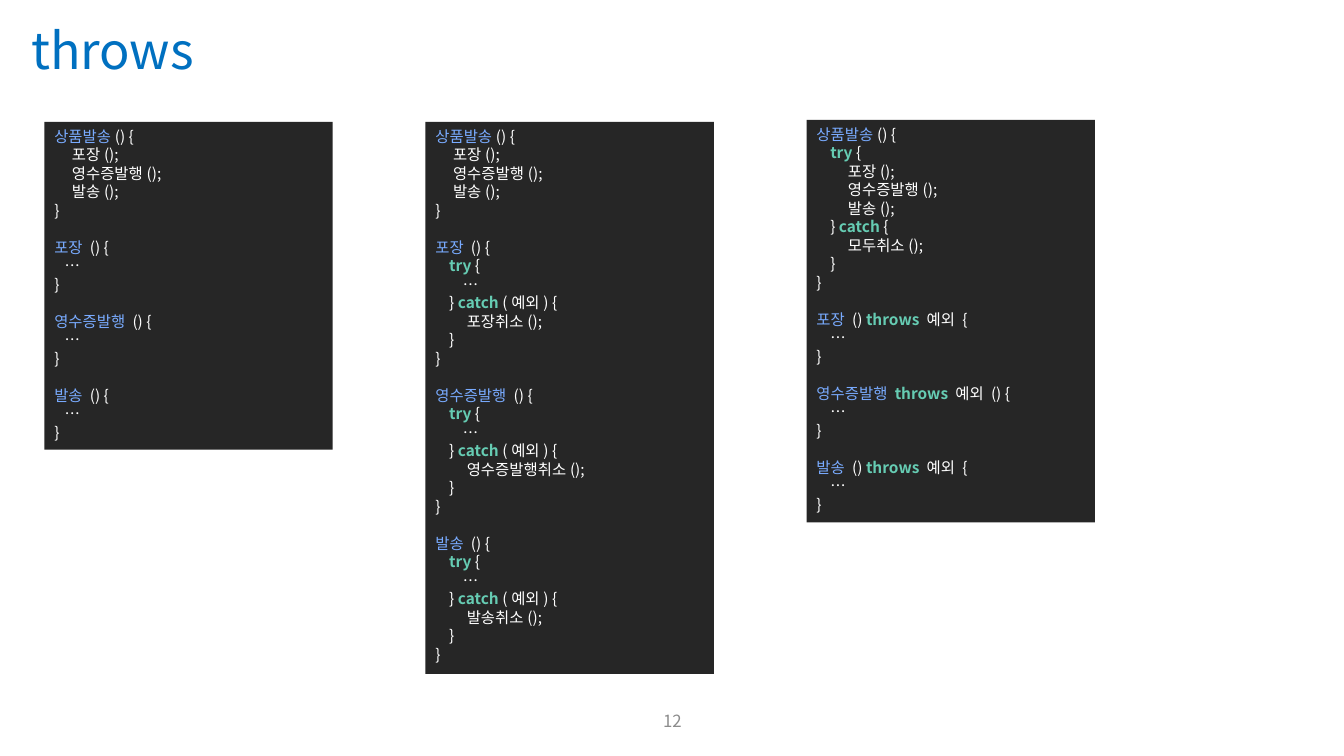
"""Build the slide that compares three ways of handling exceptions."""
from dataclasses import dataclass

from lxml import etree
from pptx import Presentation
from pptx.dml.color import RGBColor
from pptx.enum.shapes import MSO_SHAPE
from pptx.enum.text import MSO_ANCHOR, PP_ALIGN
from pptx.oxml.ns import qn
from pptx.slide import Slide
from pptx.text.text import _Paragraph as Paragraph
from pptx.util import Inches, Pt

RECTANGLE = MSO_SHAPE.RECTANGLE
TOP, MIDDLE = MSO_ANCHOR.TOP, MSO_ANCHOR.MIDDLE
LEFT, CENTER = PP_ALIGN.LEFT, PP_ALIGN.CENTER

FONT = "Noto Sans CJK KR"
TITLE_BLUE = RGBColor(0x00, 0x70, 0xC0)
NUMBER_GRAY = RGBColor(0x8C, 0x8C, 0x8C)
PANEL_DARK = RGBColor(0x26, 0x26, 0x26)
NAME_BLUE = RGBColor(0x79, 0xAB, 0xFF)
KEYWORD_GREEN = RGBColor(0x66, 0xCC, 0xB3)
CODE_WHITE = RGBColor(0xFF, 0xFF, 0xFF)

KEYWORDS = ("try", "catch", "throws")
STEPS = ("포장", "영수증발행", "발송")

SLIDE_WIDTH, SLIDE_HEIGHT = 13.33, 7.5
FIRST_COLUMN, COLUMN_PITCH, PANEL_WIDTH = 0.44, 3.78, 2.86
PANEL_PADDING = 0.1
ROW_HEIGHT = 13.35 / 72
CODE_SIZE, LINE_SPACING = 11, 13.2
SPACE_WIDTH, HANGUL_GAP = 2.46, 2.75


@dataclass(frozen=True)
class Label:
    """A line of text in its own box, placed in inches."""

    text: str
    left: float
    top: float
    width: float
    height: float
    size: float
    color: RGBColor
    alignment: PP_ALIGN
    anchor: MSO_ANCHOR


@dataclass(frozen=True)
class Panel:
    """A dark code panel in one column of the grid."""

    column: int
    top: float
    blocks: tuple[str, ...]


CALLS = "상품발송() {\n" + "".join(f"    {step}();\n" for step in STEPS) + "}"
GUARDED_CALLS = (
    "상품발송() {\n    try {\n"
    + "".join(f"        {step}();\n" for step in STEPS)
    + "    } catch {\n        모두취소();\n    }\n}"
)
PLAIN = tuple(f"{step} () {{\n   …\n}}" for step in STEPS)
CATCHING = tuple(
    f"{step} () {{\n    try {{\n        …\n    }} catch (예외) {{\n"
    f"        {step}취소();\n    }}\n}}"
    for step in STEPS
)
SIGNATURES = ("() throws 예외 {", "throws 예외 () {", "() throws 예외 {")
THROWING = tuple(
    f"{step} {signature}\n    …\n}}" for step, signature in zip(STEPS, SIGNATURES)
)

LABELS = (
    Label("throws", 0.21, 0.14, 5.31, 0.71, 36, TITLE_BLUE, LEFT, TOP),
    Label("12", 5.17, 6.95, 3, 0.4, 12, NUMBER_GRAY, CENTER, MIDDLE),
)
PANELS = (
    Panel(0, 1.21, (CALLS, *PLAIN)),
    Panel(1, 1.21, (CALLS, *CATCHING)),
    Panel(2, 1.19, (GUARDED_CALLS, *THROWING)),
)


def add_text(
    paragraph: Paragraph, text: str, size: float, color: RGBColor, bold: bool = False
) -> None:
    """Append one formatted run to a paragraph."""
    run = paragraph.add_run()
    run.text = text
    run.font.name = FONT
    run.font.size = Pt(size)
    run.font.bold = bold
    run.font.color.rgb = color
    east_asian = etree.SubElement(run.font._element, qn("a:ea"))
    east_asian.set("typeface", FONT)


def add_label(slide: Slide, label: Label) -> None:
    """Draw a label in a text box."""
    box = slide.shapes.add_textbox(
        Inches(label.left), Inches(label.top), Inches(label.width), Inches(label.height)
    )
    text_frame = box.text_frame
    text_frame.word_wrap = True
    text_frame.vertical_anchor = label.anchor
    paragraph = text_frame.paragraphs[0]
    paragraph.alignment = label.alignment
    paragraph.line_spacing = Pt(label.size * 1.2)
    add_text(paragraph, label.text, label.size, label.color)


def write_code_line(paragraph: Paragraph, line: str) -> None:
    """Write a line of code with its indent and its colours."""
    code = line.lstrip()
    depth = len(line) - len(code)
    if depth:
        gap = HANGUL_GAP if code[0].isalpha() and not code[0].isascii() else 0
        properties = paragraph._p.get_or_add_pPr()
        properties.set("marL", str(Pt(depth * SPACE_WIDTH + gap)))
        properties.set("indent", "0")
    name = "" if depth or code == "}" else code.split("(")[0].split(" ")[0]
    rest = code[len(name):]
    keyword = next((word for word in KEYWORDS if word in rest), "")
    before, after = rest.split(keyword) if keyword else (rest, "")
    pieces = (
        (name, NAME_BLUE, False),
        (before, CODE_WHITE, False),
        (keyword, KEYWORD_GREEN, True),
        (after, CODE_WHITE, False),
    )
    for text, color, bold in pieces:
        if text:
            add_text(paragraph, text, CODE_SIZE, color, bold)


def add_panel(slide: Slide, panel: Panel) -> None:
    """Draw a code panel as tall as its lines and the gaps between its blocks."""
    blocks = [block.split("\n") for block in panel.blocks]
    rows = sum(len(block) for block in blocks) + len(blocks) - 1
    shape = slide.shapes.add_shape(
        RECTANGLE,
        Inches(FIRST_COLUMN + panel.column * COLUMN_PITCH),
        Inches(panel.top),
        Inches(PANEL_WIDTH),
        Inches(rows * ROW_HEIGHT + PANEL_PADDING),
    )
    shape.shadow.inherit = False
    shape.fill.solid()
    shape.fill.fore_color.rgb = PANEL_DARK
    shape.line.fill.background()
    text_frame = shape.text_frame
    text_frame.word_wrap = True
    text_frame.vertical_anchor = TOP
    paragraph = text_frame.paragraphs[0]
    for block_index, block in enumerate(blocks):
        for line_index, line in enumerate(block):
            if block_index or line_index:
                paragraph = text_frame.add_paragraph()
            paragraph.alignment = LEFT
            paragraph.line_spacing = Pt(LINE_SPACING)
            if block_index and not line_index:
                paragraph.space_before = Pt(LINE_SPACING)
            write_code_line(paragraph, line)


def main() -> None:
    """Build and save the presentation."""
    presentation = Presentation()
    presentation.slide_width = Inches(SLIDE_WIDTH)
    presentation.slide_height = Inches(SLIDE_HEIGHT)
    slide = presentation.slides.add_slide(presentation.slide_layouts[6])
    for label in LABELS:
        add_label(slide, label)
    for panel in PANELS:
        add_panel(slide, panel)
    presentation.save("out.pptx")


if __name__ == "__main__":
    main()
